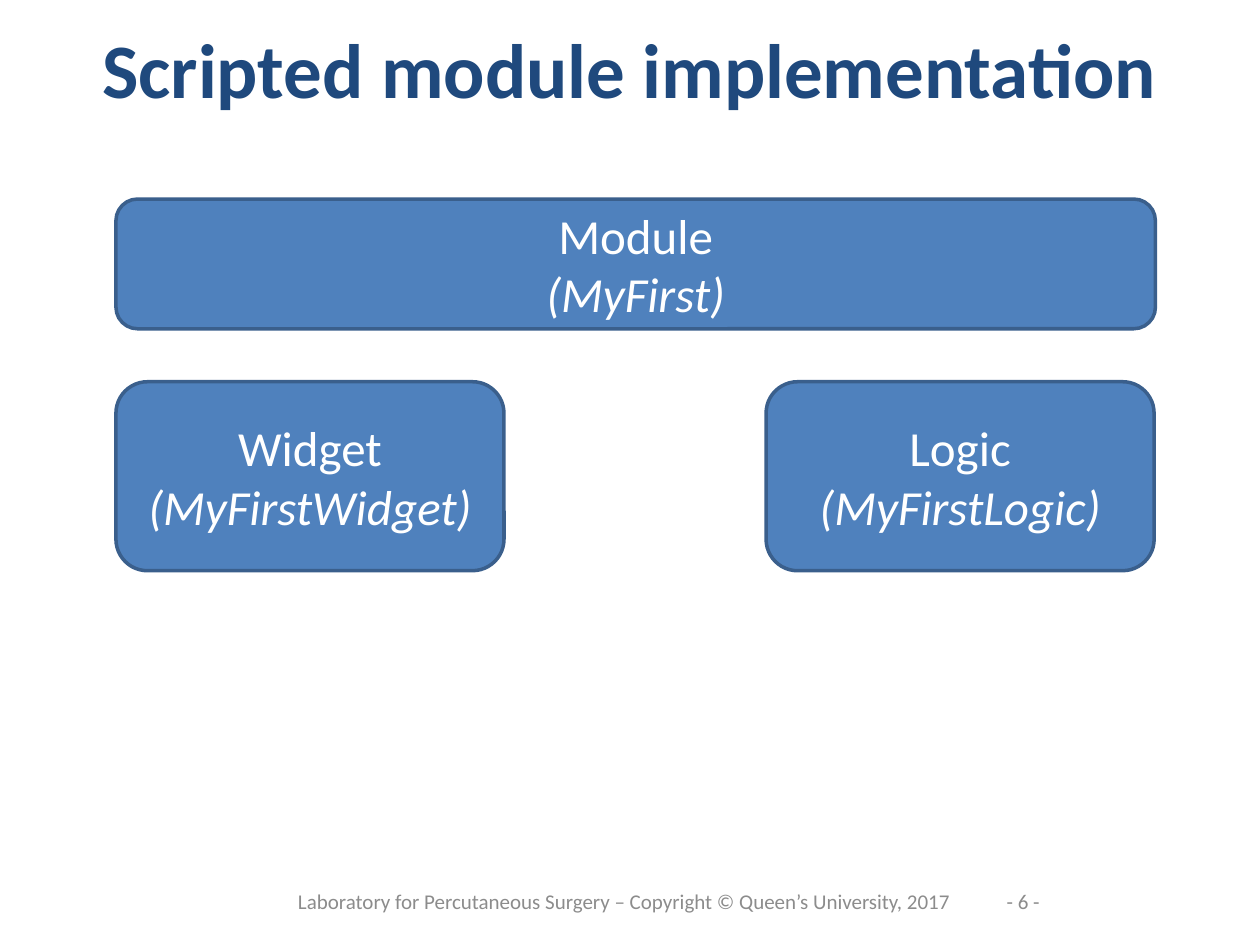
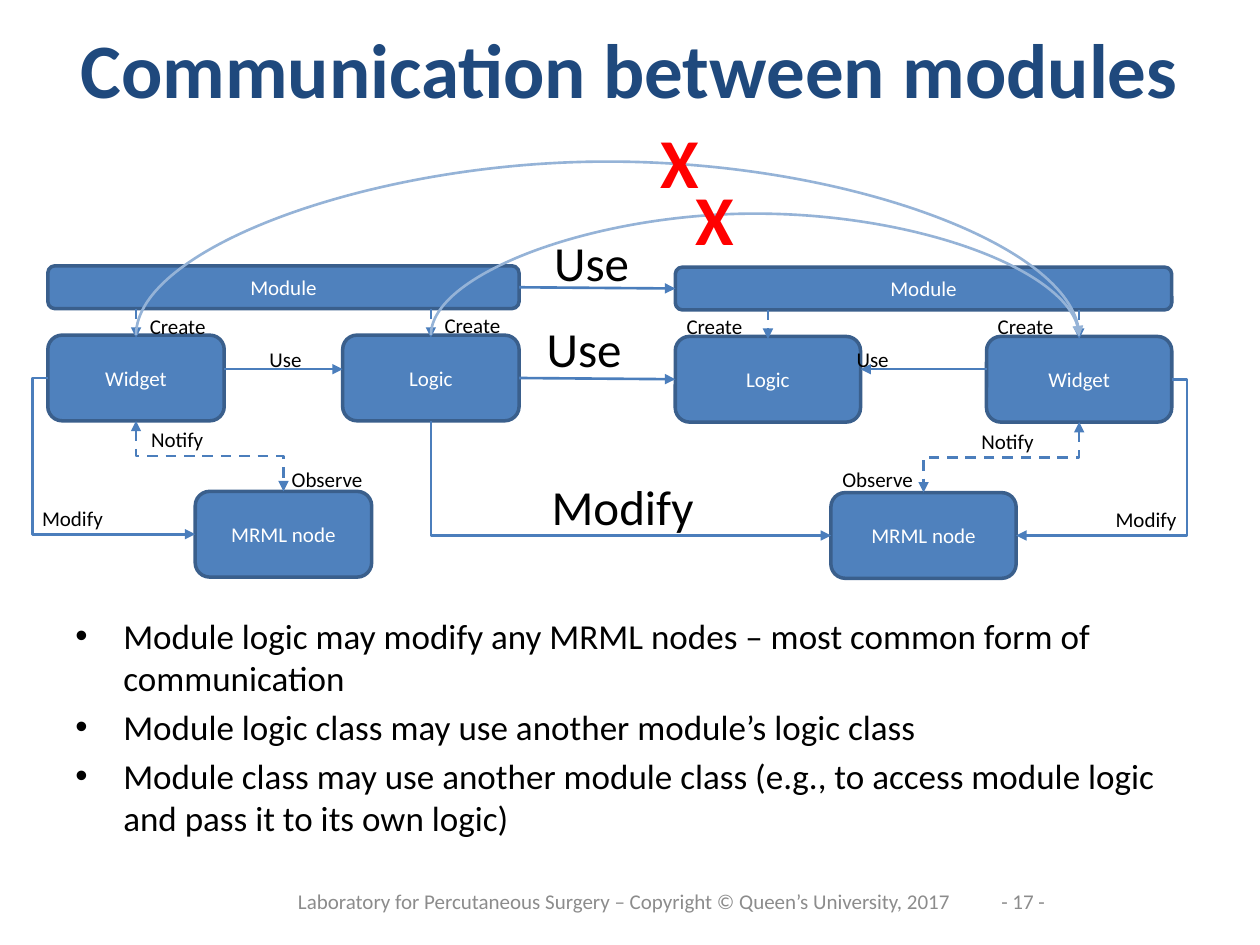
import pptx
import pptx.util
import pptx.dml.color
import pptx.enum.dml
import pptx.enum.shapes
import pptx.enum.text
import pptx.oxml.ns
from dataclasses import dataclass
from lxml import etree

Inches = pptx.util.Inches
Pt = pptx.util.Pt
qn = pptx.oxml.ns.qn
CONNECTOR = pptx.enum.shapes.MSO_CONNECTOR
MIDDLE = pptx.enum.text.MSO_ANCHOR.MIDDLE
TOP_ANCHOR = pptx.enum.text.MSO_ANCHOR.TOP
CENTER = pptx.enum.text.PP_ALIGN.CENTER
LEFT_ALIGN = pptx.enum.text.PP_ALIGN.LEFT


@dataclass(frozen=True)
class Theme:
    font: str = "Calibri"
    title: str = "1F497D"
    box: str = "4F81BD"
    border: str = "3A5F8C"
    arrow: str = "4B7EBC"
    arc: str = "95B3D7"
    footer: str = "8C8C8C"
    ink: str = "000000"
    light: str = "FFFFFF"
    forbidden: str = "FF0000"
    title_size: int = 44
    mark_size: int = 40
    large: int = 28
    body: int = 20
    small: int = 12


THEME = Theme()
FOOTER = "Laboratory for Percutaneous Surgery – Copyright © Queen’s University, 2017"
TOP, LEFT, BOTTOM, RIGHT = range(4)

IMPLEMENTATION = {
    "title": "Scripted module implementation",
    "number": "- 6 -",
    "classes": [
        ("Widget", "(MyFirstWidget)", (0.92, 3.03, 3.08, 1.5)),
        ("Logic", "(MyFirstLogic)", (6.08, 3.03, 3.08, 1.5)),
        ("Module", "(MyFirst)", (0.92, 1.58, 8.25, 1.03)),
    ],
}

COMMUNICATION = {
    "title": "Communication between modules",
    "number": "- 17 -",
    "modules": [
        {
            "left": 0.38, "top": 2.11, "span": 3.74, "node": 1.4,
            "columns": ("Widget", "MRML node", "Logic"),
            "outer": LEFT, "label_width": 0.81,
            "labels": [("Modify", 0.17, 3.96, CENTER), ("Use", 2.04, 2.7, LEFT_ALIGN),
                       ("Create", 1.09, 2.44, LEFT_ALIGN), ("Create", 3.43, 2.43, LEFT_ALIGN),
                       ("Notify", 1.1, 3.34, LEFT_ALIGN), ("Observe", 2.19, 3.65, CENTER)],
        },
        {
            "left": 5.36, "top": 2.12, "span": 3.94, "node": 1.47,
            "columns": ("Logic", "MRML node", "Widget"),
            "outer": RIGHT, "label_width": 0.85,
            "labels": [("Modify", 8.67, 3.97, CENTER), ("Use", 6.7, 2.7, LEFT_ALIGN),
                       ("Create", 7.82, 2.44, LEFT_ALIGN), ("Create", 5.35, 2.44, LEFT_ALIGN),
                       ("Notify", 7.69, 3.35, LEFT_ALIGN), ("Observe", 6.54, 3.65, CENTER)],
        },
    ],
    "links": [("Use", 4.24, 2.48), ("Modify", 4.28, 3.73), ("Use", 4.3, 1.8)],
    "forbidden": [("Logic", 0.98, (5.42, 1.34)), ("Widget", 1.4, (5.14, 0.89))],
    "points": [
        "Module logic may modify any MRML nodes – most common form of communication",
        "Module logic class may use another module’s logic class",
        "Module class may use another module class (e.g., to access module logic and pass it to its own logic)",
    ],
}
ROW_OFFSET = {"Widget": 0.55, "Logic": 0.55, "MRML node": 1.79}
NODE_HEIGHT, MODULE_HEIGHT = 0.68, 0.34
USE_Y, DETOUR = 2.93, 0.12


def rgb(value):
    return pptx.dml.color.RGBColor.from_string(value)


def write(paragraph, words, size, color, bold=False, italic=False, align=CENTER):
    paragraph.alignment = align
    run = paragraph.add_run()
    run.text = words
    font = run.font
    font.name, font.size, font.bold, font.italic = THEME.font, Pt(size), bold, italic
    font.color.rgb = rgb(color)


def label(slide, words, place, size, color, bold=False, align=LEFT_ALIGN,
          anchor=TOP_ANCHOR, spaced=True):
    frame = slide.shapes.add_textbox(*map(Inches, place)).text_frame
    frame.word_wrap, frame.vertical_anchor = True, anchor
    paragraph = frame.paragraphs[0]
    if spaced:
        paragraph.space_before = Pt(size * 0.2)
    write(paragraph, words, size, color, bold, align=align)


def box(slide, place, lines, size):
    shape = slide.shapes.add_shape(
        pptx.enum.shapes.MSO_SHAPE.ROUNDED_RECTANGLE, *map(Inches, place))
    shape.shadow.inherit = False
    shape.fill.solid()
    shape.fill.fore_color.rgb = rgb(THEME.box)
    shape.line.color.rgb = rgb(THEME.border)
    shape.line.width = Pt(2)
    frame = shape.text_frame
    frame.word_wrap, frame.vertical_anchor = True, MIDDLE
    for index, words in enumerate(lines):
        paragraph = frame.add_paragraph() if index else frame.paragraphs[0]
        write(paragraph, words, size, THEME.light, italic=index > 0)
    return shape


def style_arrow(arrow, color=THEME.arrow, dashed=False, both_ends=False):
    arrow.line.color.rgb = rgb(color)
    arrow.line.width = Pt(1.5)
    if dashed:
        arrow.line.dash_style = pptx.enum.dml.MSO_LINE.DASH
    line = arrow.line._get_or_add_ln()
    for end in ["headEnd"] * both_ends + ["tailEnd"]:
        etree.SubElement(line, qn(f"a:{end}"), type="triangle")
    etree.SubElement(arrow._element.spPr, qn("a:effectLst"))


def straight(slide, start, end, dashed=False):
    arrow = slide.shapes.add_connector(CONNECTOR.STRAIGHT, *map(Inches, start + end))
    style_arrow(arrow, dashed=dashed)


def site_point(shape, site):
    across = {LEFT: 0, RIGHT: 1}.get(site, 0.5)
    down = {TOP: 0, BOTTOM: 1}.get(site, 0.5)
    return (shape.left + int(shape.width * across), shape.top + int(shape.height * down))


def route(slide, source, source_site, target, target_site, bend=None,
          kind=CONNECTOR.ELBOW, **style):
    (x1, y1), (x2, y2) = site_point(source, source_site), site_point(target, target_site)
    arrow = slide.shapes.add_connector(kind, x1, y1, x2, y2)
    arrow.begin_connect(source, source_site)
    arrow.end_connect(target, target_site)
    geometry = arrow._element.spPr.find(qn("a:prstGeom"))
    if source_site in (TOP, BOTTOM):
        run, drop = abs(x2 - x1), max(y2 - y1, Inches(0.01))
        arrow.left, arrow.top = (x1 + x2 - drop) // 2, (y1 + y2 - run) // 2
        arrow.width, arrow.height = drop, run
        frame = arrow._element.spPr.find(qn("a:xfrm"))
        frame.set("rot", "16200000" if x2 > x1 else "5400000")
        frame.set("flipH", "1" if x2 > x1 else "0")
    if bend is None:
        geometry.set("prst", "bentConnector2")
    else:
        guides = geometry.find(qn("a:avLst"))
        if guides is None:
            guides = etree.SubElement(geometry, qn("a:avLst"))
        share = bend if source_site == BOTTOM else -Inches(bend) / arrow.width
        etree.SubElement(guides, qn("a:gd"), name="adj1", fmla=f"val {round(share * 100000)}")
    style_arrow(arrow, **style)


def new_slide(deck, content):
    slide = deck.slides.add_slide(deck.slide_layouts[5])
    title = slide.shapes.title
    title.left, title.top, title.width, title.height = map(Inches, (0.5, 0, 9, 1.08))
    title.text_frame.vertical_anchor = MIDDLE
    write(title.text_frame.paragraphs[0], content["title"], THEME.title_size, THEME.title, bold=True)
    for words, left, width in ((content["number"], 7.83, 0.58), (FOOTER, 2.08, 5.75)):
        label(slide, words, (left, 6.95, width, 0.4), THEME.small, THEME.footer,
              align=CENTER, anchor=MIDDLE, spaced=False)
    return slide


def draw_module(slide, module):
    left, top, node = module["left"], module["top"], module["node"]
    step = (module["span"] - node) / 2
    lefts = {name: left + step * i for i, name in enumerate(module["columns"])}
    parts = {name: box(slide, (x, top + ROW_OFFSET[name], node, NODE_HEIGHT), [name], THEME.small)
             for name, x in lefts.items()}
    parts["Module"] = box(slide, (left, top, module["span"], MODULE_HEIGHT), ["Module"], THEME.small)

    route(slide, parts["Widget"], module["outer"], parts["MRML node"], module["outer"], DETOUR)
    route(slide, parts["Widget"], BOTTOM, parts["MRML node"], TOP, 0.5, dashed=True, both_ends=True)
    if module["outer"] == LEFT:
        use = lefts["Widget"] + node, lefts["Logic"]
    else:
        use = lefts["Widget"], lefts["Logic"] + node
    straight(slide, (use[0], USE_Y), (use[1], USE_Y))
    for name in ("Widget", "Logic"):
        center = lefts[name] + node / 2
        straight(slide, (center, top + MODULE_HEIGHT), (center, top + ROW_OFFSET[name] + 0.02), dashed=True)
    for words, x, y, align in module["labels"]:
        label(slide, words, (x, y, module["label_width"], 0.3), THEME.small, THEME.ink, align=align)
    return parts


def draw_points(slide, points):
    frame = slide.shapes.add_textbox(*map(Inches, (0.5, 4.83, 8.92, 1.39))).text_frame
    frame.word_wrap = True
    for index, words in enumerate(points):
        paragraph = frame.add_paragraph() if index else frame.paragraphs[0]
        write(paragraph, words, THEME.body, THEME.ink, align=LEFT_ALIGN)
        paragraph.space_before = Pt(THEME.body * 0.2)
        properties = paragraph._p.get_or_add_pPr()
        properties.set("marL", str(Inches(0.38)))
        properties.set("indent", str(Inches(-0.38)))
        etree.SubElement(properties, qn("a:buFont"), typeface="Arial")
        etree.SubElement(properties, qn("a:buChar"), char="•")


def build_implementation(deck):
    slide = new_slide(deck, IMPLEMENTATION)
    for role, name, place in IMPLEMENTATION["classes"]:
        box(slide, place, [role, name], THEME.large)


def build_communication(deck):
    slide = new_slide(deck, COMMUNICATION)
    first, second = [draw_module(slide, module) for module in COMMUNICATION["modules"]]
    straight(slide, (4.12, 3), (5.36, 3.01))
    straight(slide, (4.12, 2.28), (5.36, 2.29))
    route(slide, first["Logic"], BOTTOM, second["MRML node"], LEFT)
    for words, x, y in COMMUNICATION["links"]:
        label(slide, words, (x, y, 1.78, 0.67), THEME.large, THEME.ink)
    for source, rise, (x, y) in COMMUNICATION["forbidden"]:
        route(slide, first[source], TOP, second["Widget"], TOP, rise,
              kind=CONNECTOR.CURVE, color=THEME.arc)
        label(slide, "X", (x, y, 1.78, 0.67), THEME.mark_size, THEME.forbidden, bold=True)
    draw_points(slide, COMMUNICATION["points"])


def main():
    deck = pptx.Presentation()
    deck.slide_width, deck.slide_height = Inches(10), Inches(7.5)
    build_implementation(deck)
    build_communication(deck)
    deck.save("out.pptx")


if __name__ == "__main__":
    main()
